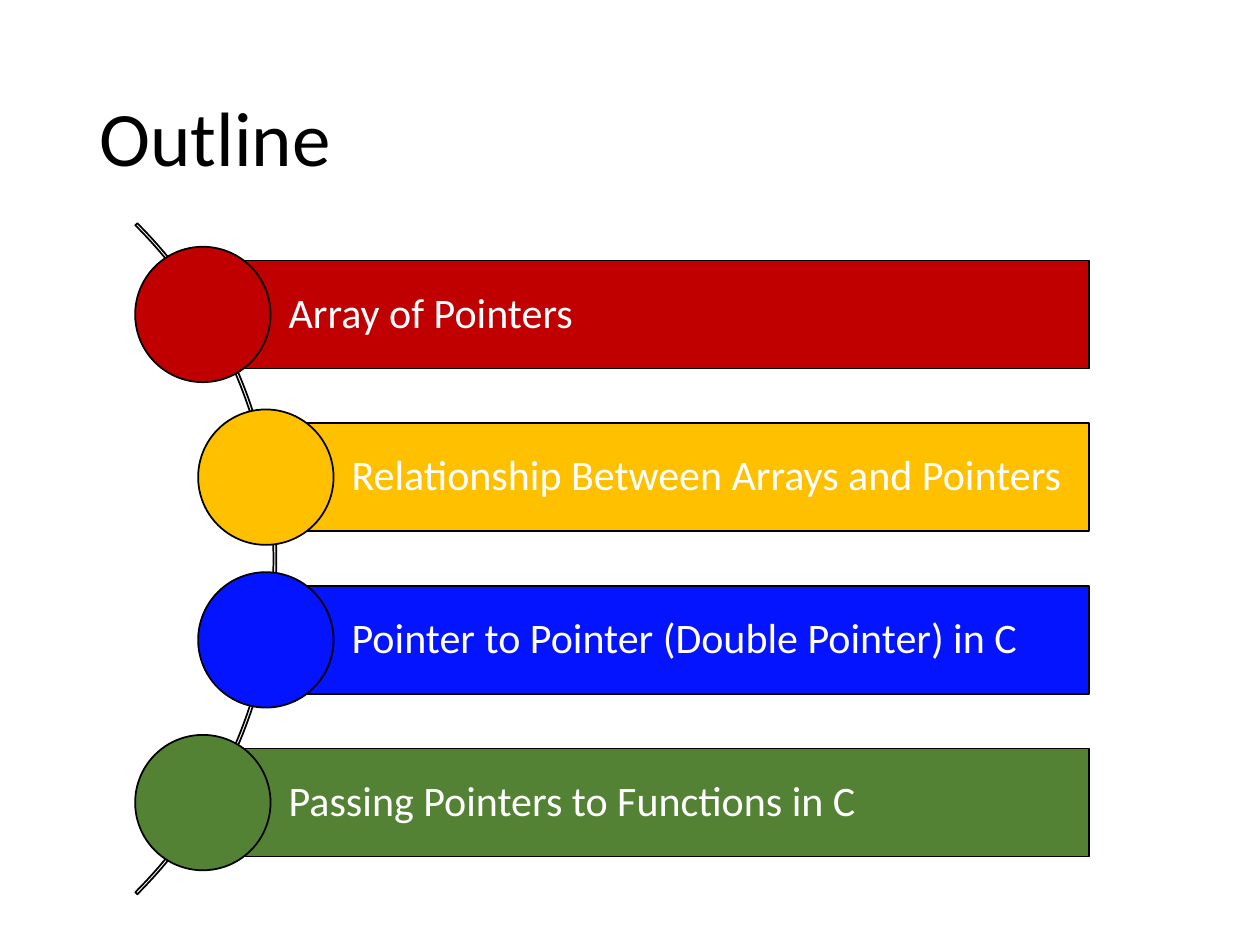
from pptx import Presentation
from pptx import util as u
from pptx.dml.color import RGBColor
from pptx.enum import shapes, text

BLACK = RGBColor(0x00, 0x00, 0x00)
WHITE = RGBColor(0xFF, 0xFF, 0xFF)
RED = RGBColor(0xC0, 0x00, 0x00)
AMBER = RGBColor(0xFF, 0xC0, 0x00)
BLUE = RGBColor(0x04, 0x14, 0xFF)
GREEN = RGBColor(0x54, 0x82, 0x35)

TOPICS = [
    ("Array of Pointers", RED, 4.09),
    ("Relationship Between Arrays and Pointers", AMBER, 5.36),
    ("Pointer to Pointer (Double Pointer) in C", BLUE, 5.36),
    ("Passing Pointers to Functions in C", GREEN, 4.09),
]
FIRST_MID, PITCH = 6.34, 3.28
BAR_RIGHT, BAR_H, DOT = 21.95, 2.18, 2.73


def add_outlined(kind, left, top, width, height, fill=None):
    sp = grp.shapes.add_shape(kind, u.Cm(left), u.Cm(top), u.Cm(width), u.Cm(height))
    sp.shadow.inherit = False
    if fill is None:
        sp.fill.background()
    else:
        sp.fill.solid()
        sp.fill.fore_color.rgb = fill
    sp.line.color.rgb = BLACK
    sp.line.width = u.Pt(1)
    return sp


def set_text(tf, words, size, color):
    tf.text = words
    tf.word_wrap = True
    tf.vertical_anchor = text.MSO_ANCHOR.MIDDLE
    p = tf.paragraphs[0]
    p.alignment = text.PP_ALIGN.LEFT
    p.line_spacing = 0.9
    r = p.runs[0]
    r.font.size = u.Pt(size)
    r.font.name = "Calibri"
    r.font.color.rgb = color


prs = Presentation()
prs.slide_width, prs.slide_height = u.Cm(25.4), u.Cm(19.05)
s = prs.slides.add_slide(prs.slide_layouts[5])

title = s.shapes.title
title.left, title.top = u.Cm(1.75), u.Cm(1.02)
title.width, title.height = u.Cm(21.89), u.Cm(3.68)
set_text(title.text_frame, "Outline", 44, BLACK)

grp = s.shapes.add_group_shape()
arc = add_outlined(shapes.MSO_SHAPE.BLOCK_ARC, -13.56, 1.7, 19.13, 19.13)
arc.adjustments[0] = 189
arc.adjustments[1] = 27
arc.adjustments[2] = 0.003

for i, (words, color, left) in enumerate(TOPICS):
    mid = FIRST_MID + i * PITCH
    bar = add_outlined(shapes.MSO_SHAPE.RECTANGLE, left, mid - BAR_H / 2,
                       BAR_RIGHT - left, BAR_H, color)
    tf = bar.text_frame
    set_text(tf, words, 24, WHITE)
    tf.margin_left = u.Cm(1.73)
    tf.margin_top = tf.margin_right = tf.margin_bottom = u.Cm(0.18)
    add_outlined(shapes.MSO_SHAPE.OVAL, left - DOT / 2, mid - DOT / 2, DOT, DOT, color)

prs.save("out.pptx")
